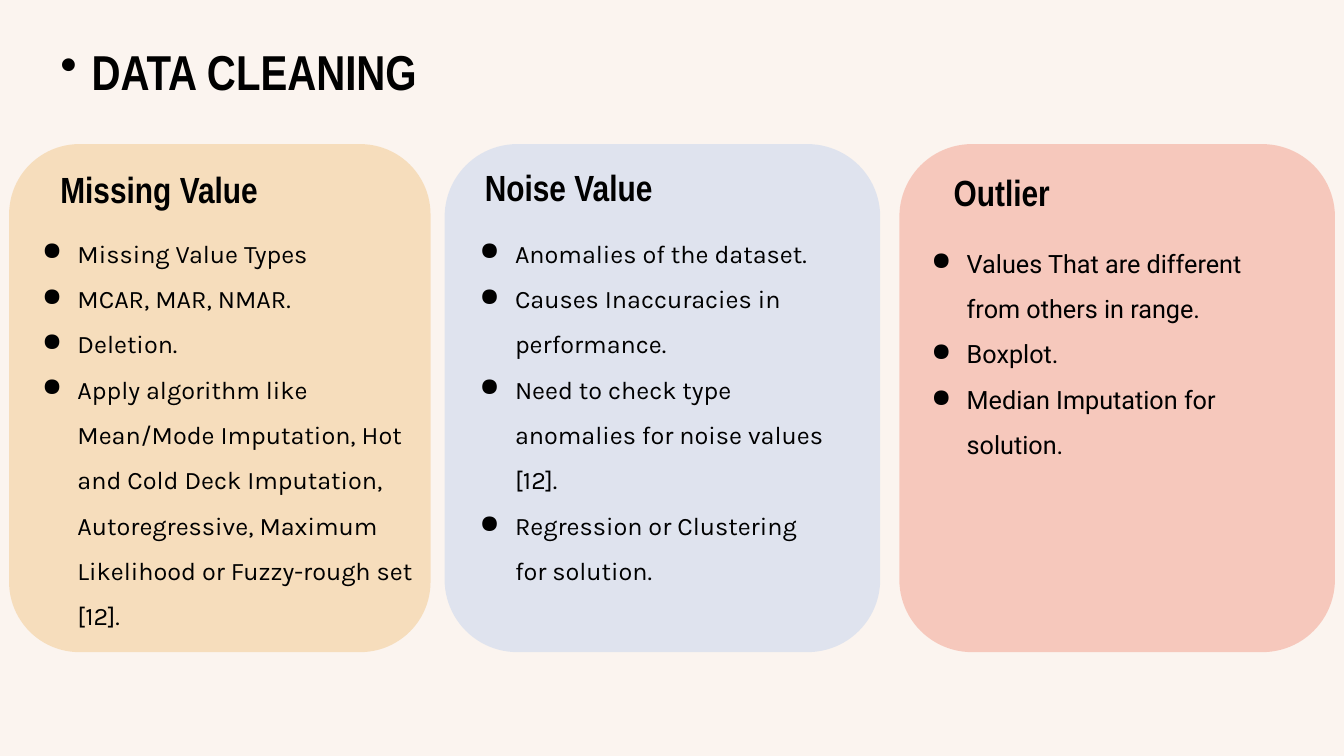
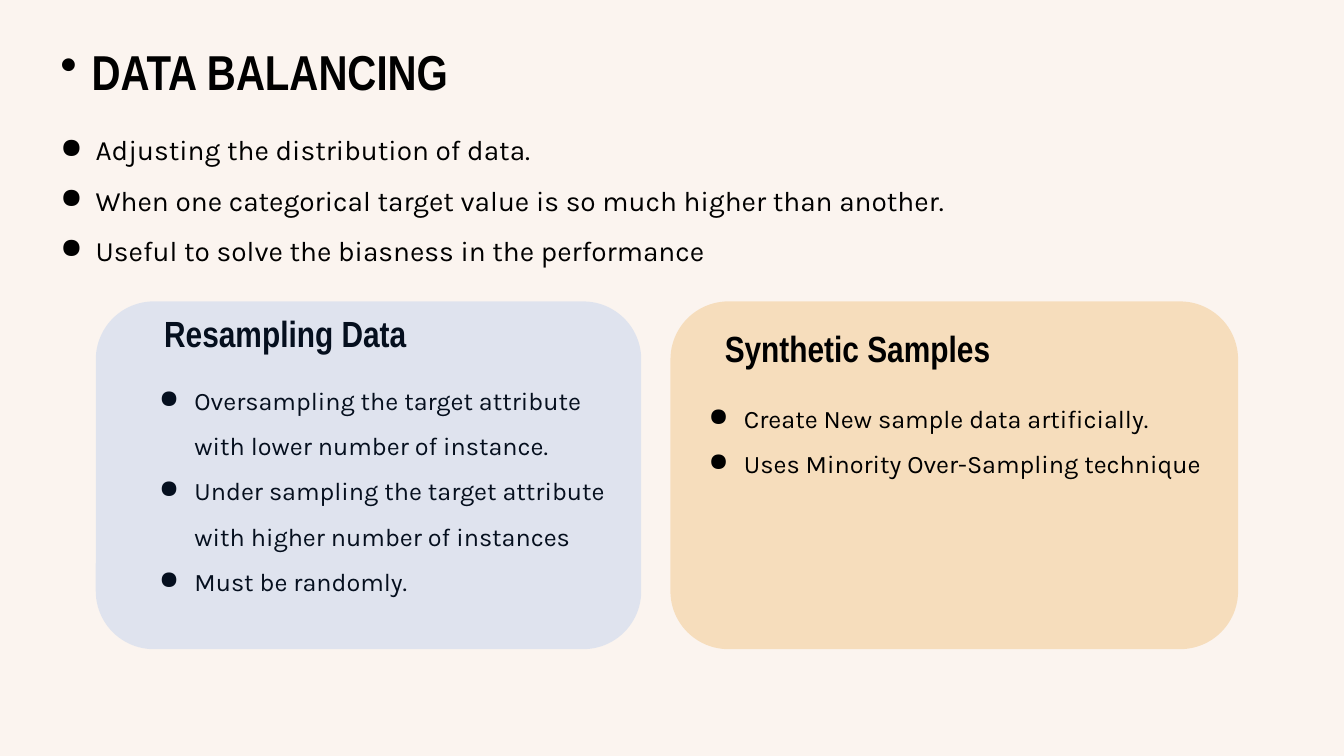
from dataclasses import dataclass

from lxml.etree import SubElement
from pptx import Presentation
from pptx.dml.color import RGBColor
from pptx.enum.shapes import MSO_SHAPE
from pptx.enum.text import MSO_ANCHOR, PP_ALIGN
from pptx.oxml.ns import qn
from pptx.util import Inches, Pt

# Shared theme
BACKGROUND = "FBF4EF"
INK = "000000"
BLUE_INK = "050F1E"
ORANGE = ("E99B27", 25)  # colour and opacity in percent
BLUE = ("2776EA", 13)
RED = ("EA4827", 25)
TITLE_FONT, BODY_FONT, ALTERNATE_FONT = "Arial Narrow", "Karla", "Roboto"


@dataclass
class Card:
    """A rounded panel; heading and list boxes are relative to its corner."""
    left: float
    width: float
    tint: tuple
    heading: str
    heading_box: tuple  # left, top, width
    items: list
    list_box: tuple  # left, top, width
    font: str = BODY_FONT
    ink: str = INK


def color(hex_string):
    return RGBColor.from_string(hex_string)


def add_text_frame(slide, box, vertical_inset=0.1):
    text_frame = slide.shapes.add_textbox(*map(Inches, box)).text_frame
    text_frame.word_wrap = True
    text_frame.margin_left = text_frame.margin_right = Inches(0.1)
    text_frame.margin_top = text_frame.margin_bottom = Inches(vertical_inset)
    return text_frame


def add_run(paragraph, text, size, font, ink=INK, bold=False):
    run = paragraph.add_run()
    run.text = text
    run.font.size = Pt(size)
    run.font.name = font
    run.font.bold = bold
    run.font.color.rgb = color(ink)


def set_bullet(paragraph, character, indent):
    properties = paragraph._p.get_or_add_pPr()
    properties.set("marL", str(Inches(indent)))
    properties.set("indent", str(-Inches(indent)))
    SubElement(properties, qn("a:buChar")).set("char", character)


def add_list(slide, box, items, size=18, font=BODY_FONT, ink=INK, alignment=None):
    text_frame = add_text_frame(slide, box)
    for index, item in enumerate(items):
        paragraph = text_frame.add_paragraph() if index else text_frame.paragraphs[0]
        paragraph.line_spacing = 1.5
        paragraph.alignment = alignment
        set_bullet(paragraph, "●", 0.35)
        add_run(paragraph, item, size, font, ink)


def add_titled_slide(presentation, title):
    slide = presentation.slides.add_slide(presentation.slide_layouts[6])
    slide.background.fill.solid()
    slide.background.fill.fore_color.rgb = color(BACKGROUND)
    paragraph = add_text_frame(slide, (0.5, 0.36, 11.17, 0.69), 0.05).paragraphs[0]
    set_bullet(paragraph, "•", 0.31)
    add_run(paragraph, title, 35, TITLE_FONT, bold=True)
    return slide


def add_card(slide, card, top, height):
    # Translucent panel
    box = (card.left, top, card.width, height)
    panel = slide.shapes.add_shape(MSO_SHAPE.ROUNDED_RECTANGLE, *map(Inches, box))
    panel.shadow.inherit = False
    panel.line.fill.background()
    fill_color, opacity = card.tint
    panel.fill.solid()
    panel.fill.fore_color.rgb = color(fill_color)
    color_element = panel.fill._xPr.find(qn("a:solidFill"))[0]
    SubElement(color_element, qn("a:alpha")).set("val", str(opacity * 1000))

    # Heading
    x, y, width = card.heading_box
    text_frame = add_text_frame(slide, (card.left + x, top + y, width, 0.36))
    text_frame.vertical_anchor = MSO_ANCHOR.MIDDLE
    add_run(text_frame.paragraphs[0], card.heading, 26, TITLE_FONT, card.ink, bold=True)

    # Bulleted list
    x, y, width = card.list_box
    add_list(slide, (card.left + x, top + y, width, 1.24), card.items,
             font=card.font, ink=card.ink)


def build_cleaning_slide(presentation):
    slide = add_titled_slide(presentation, "DATA CLEANING")
    cards = [
        Card(0.09, 4.18, ORANGE, "Missing Value", (0.41, 0.26, 2.31), [
            "Missing Value Types",
            "MCAR, MAR, NMAR.",
            "Deletion.",
            "Apply algorithm like Mean/Mode Imputation, Hot and Cold Deck "
            "Imputation, Autoregressive, Maximum Likelihood or Fuzzy-rough set [12].",
        ], (0.23, 0.68, 3.95)),
        Card(4.41, 4.32, BLUE, "Noise Value", (0.3, 0.25, 2.31), [
            "Anomalies of the dataset.",
            "Causes Inaccuracies in performance.",
            "Need to check type anomalies for noise values [12].",
            "Regression or Clustering for solution.",
        ], (0.25, 0.68, 3.66)),
        Card(8.92, 4.32, RED, "Outlier", (0.44, 0.29, 2.31), [
            "Values That are different from others in range.",
            "Boxplot.",
            "Median Imputation for solution.",
        ], (0.22, 0.78, 3.66), font=ALTERNATE_FONT),
    ]
    for card in cards:
        add_card(slide, card, top=1.43, height=5.04)


def build_balancing_slide(presentation):
    slide = add_titled_slide(presentation, "DATA BALANCING")
    add_list(slide, (0.5, 1.05, 12.02, 1.24), [
        "Adjusting the distribution of data.",
        "When one categorical target value is so much higher than another.",
        "Useful to solve the biasness in the performance",
    ], size=20, alignment=PP_ALIGN.JUSTIFY)
    cards = [
        Card(0.95, 5.41, BLUE, "Resampling Data", (0.58, 0.13, 2.92), [
            "Oversampling the target attribute with lower number of instance.",
            "Under sampling the target attribute with higher number of instances",
            "Must be randomly.",
        ], (0.53, 0.58, 4.89), ink=BLUE_INK),
        Card(6.65, 5.63, ORANGE, "Synthetic Samples", (0.44, 0.28, 2.87), [
            "Create New sample data artificially.",
            "Uses Minority Over-Sampling technique",
        ], (0.28, 0.76, 5.19)),
    ]
    for card in cards:
        add_card(slide, card, top=2.99, height=3.45)


def main():
    presentation = Presentation()
    presentation.slide_width = Inches(13.33)
    presentation.slide_height = Inches(7.5)
    build_cleaning_slide(presentation)
    build_balancing_slide(presentation)
    presentation.save("out.pptx")


if __name__ == "__main__":
    main()
